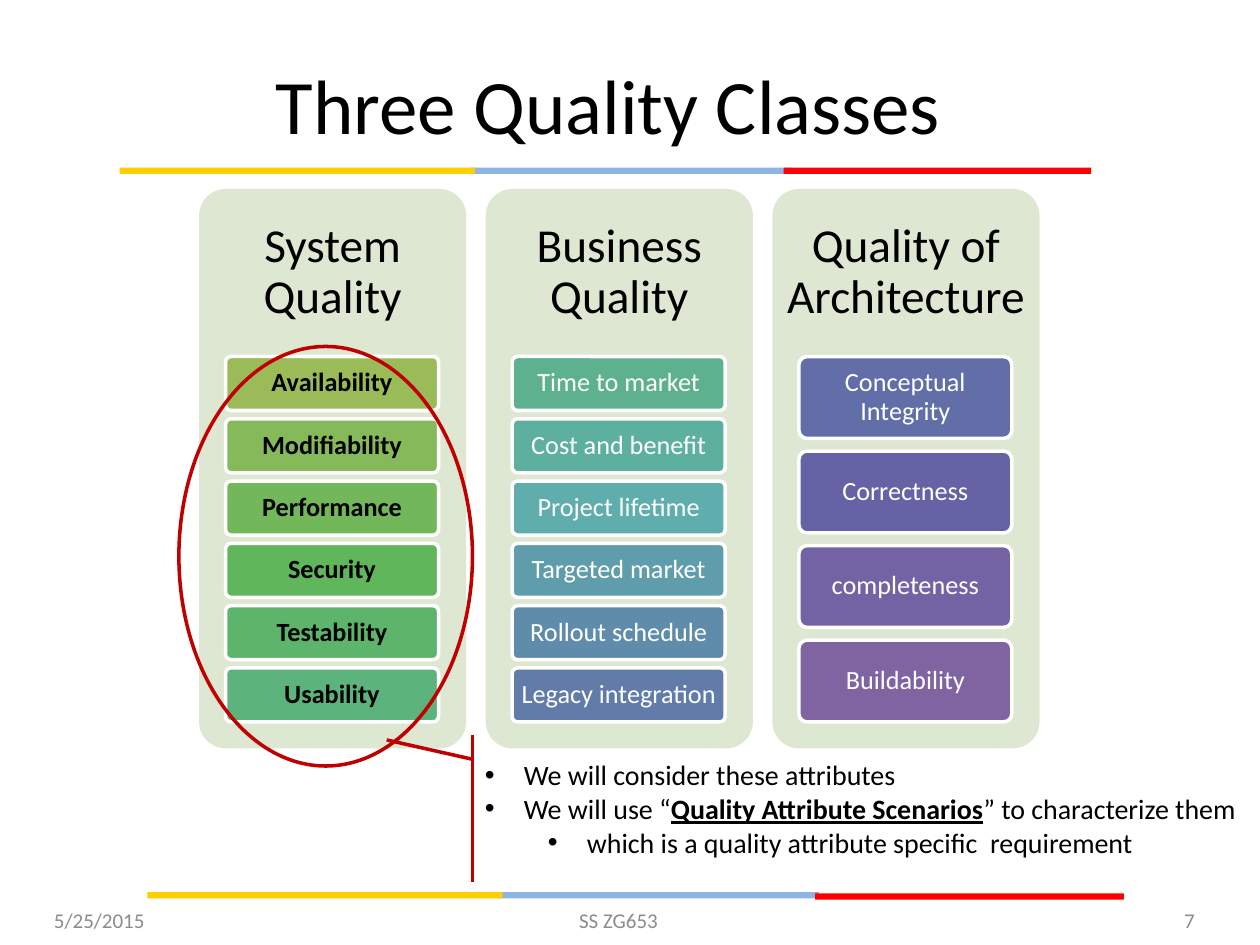
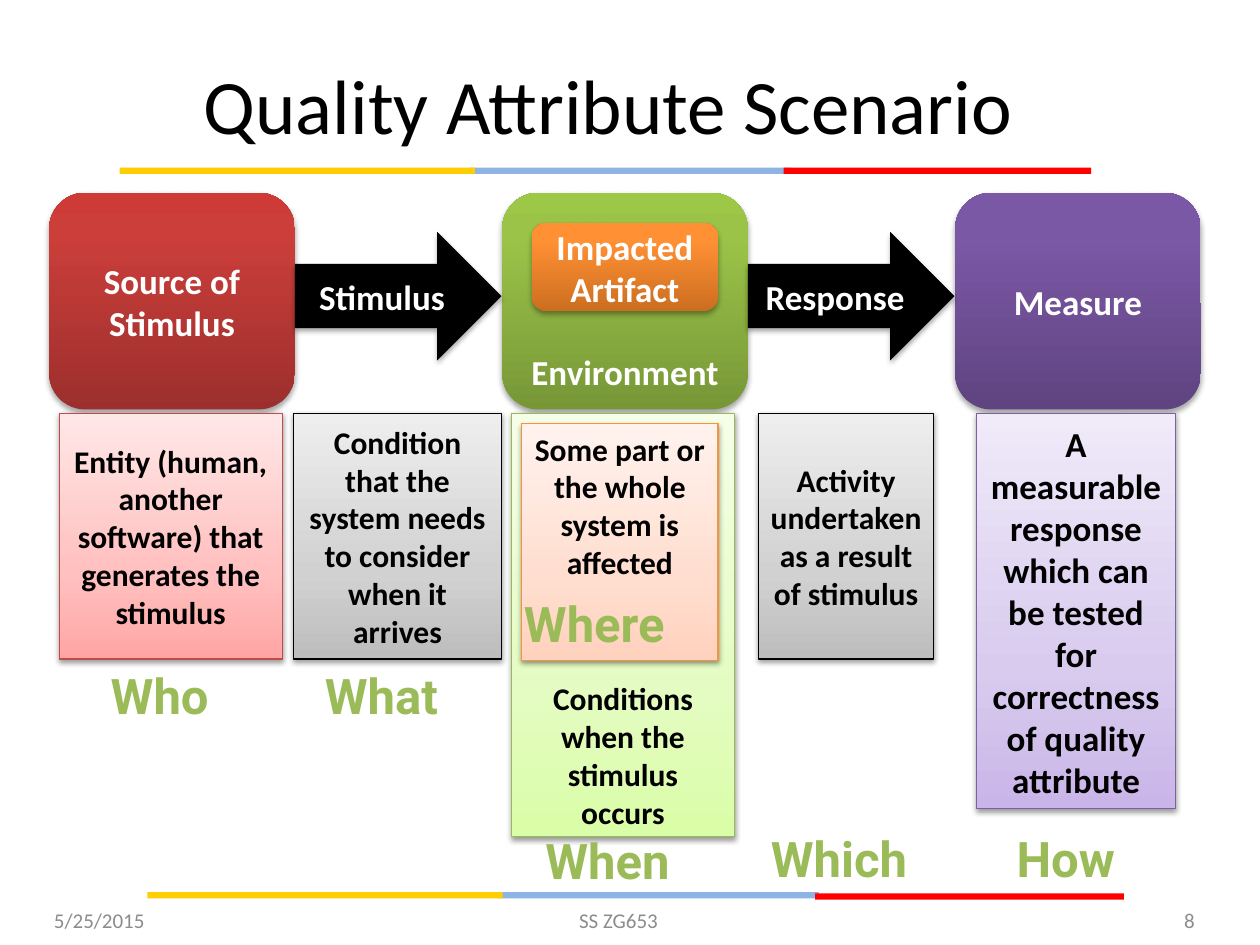
from copy import deepcopy

from lxml import etree
from pptx import Presentation
from pptx.dml.color import RGBColor
from pptx.enum import shapes, text
from pptx.oxml.ns import qn
from pptx.util import Inches, Pt

KIND = shapes.MSO_SHAPE
MIDDLE, TOP, BOTTOM = text.MSO_ANCHOR.MIDDLE, text.MSO_ANCHOR.TOP, text.MSO_ANCHOR.BOTTOM
LEFT, CENTER, RIGHT = text.PP_ALIGN.LEFT, text.PP_ALIGN.CENTER, text.PP_ALIGN.RIGHT
color = RGBColor.from_string

# Shared look
BODY_FONT, QUESTION_FONT = "Calibri", "Roboto"
BLACK, WHITE = color("000000"), color("FFFFFF")
YELLOW, BLUE, RED = color("FFCE00"), color("8EB4E3"), color("FF0000")
FOOTER_GRAY, PANEL_GREEN = color("8C8C8C"), color("DEE7D1")
MARK_RED, QUESTION_GREEN = color("C00000"), color("9BBB59")
INSETS = (0.1, 0.05, 0.1, 0.05)

BANDS = [  # left, top, width, colour
    (3.73, 1.33, 2.55, BLUE), (6.22, 1.33, 2.44, RED), (0.95, 1.33, 2.82, YELLOW),
    (3.95, 7.08, 2.55, BLUE), (6.47, 7.09, 2.45, RED), (1.17, 7.08, 2.82, YELLOW),
]
DATE, COURSE = "5/25/2015", "SS ZG653"

# Slide 7: heading, text colour, bold, cards with their fills
QUALITY_CLASSES = [
    ("System Quality", BLACK, True, [
        ("Availability", "9BBB59"), ("Modifiability", "86B95A"), ("Performance", "72B85A"),
        ("Security", "5FB65B"), ("Testability", "5CB56A"), ("Usability", "5CB37C")]),
    ("Business Quality", WHITE, False, [
        ("Time to market", "5DB18E"), ("Cost and benefit", "5EB09E"),
        ("Project lifetime", "5FAEAD"), ("Targeted market", "5F9DAC"),
        ("Rollout schedule", "608CAB"), ("Legacy integration", "617CA9")]),
    ("Quality of Architecture", WHITE, False, [
        ("Conceptual Integrity", "626EA7"), ("Correctness", "6562A5"),
        ("completeness", "7363A4"), ("Buildability", "8064A2")]),
]
REMARKS = [  # indent, runs of (text, emphasised)
    (0.31, [("We will consider these attributes", False)]),
    (0.31, [("We will use “", False), ("Quality Attribute Scenarios", True),
            ("” to characterize them", False)]),
    (0.81, [("which is a quality attribute specific  requirement", False)]),
]

# Slide 8: gradients run from the bottom edge up
STRONG_STOPS, PALE_STOPS = (0, 0.8, 1), (0, 0.35, 1)
STRONG_SHADOW, PALE_SHADOW = (35, 1.8), (38, 1.6)  # opacity, distance
GRAYS = ("BDBDBD", "D1D1D1", "EEEEEE")
STAGES = [
    ("Source of Stimulus", MIDDLE, ("9C2F2D", "CB3E3A", "CE3B37")),
    ("Environment", BOTTOM, ("779737", "9BC348", "9DC746")),
    ("Measure", MIDDLE, ("5F4480", "7B58A6", "7C57A8")),
]
ARROWS = ["Stimulus", "Response"]
ARTIFACT = ("Impacted\vArtifact", ("CC6E20", "FF9034", "FF9136"))
EXPLANATIONS = [  # text, place, anchor, size, gradient, line, insets
    ("Entity (human, another software) that generates the stimulus",
     (0.47, 3.28, 1.77, 1.95), MIDDLE, 18, ("FFA6A5", "FFC0BF", "FFE7E7"), "BF4C48", INSETS),
    ("Condition that the system needs to consider when it arrives",
     (2.33, 3.28, 1.65, 1.95), MIDDLE, 18, GRAYS, "000000", INSETS),
    ("Conditions when the stimulus occurs",
     (4.06, 3.28, 1.77, 3.36), BOTTOM, 18, ("DAFDA7", "E4FCC2", "F5FFE7"), "98B955", INSETS),
    ("Activity undertaken as a result of stimulus",
     (6.02, 3.28, 1.39, 1.95), MIDDLE, 18, GRAYS, "000000", (0.05,) * 4),
    ("A measurable response which can be tested for correctness of quality attribute",
     (7.75, 3.28, 1.58, 3.14), MIDDLE, 20, ("C9B5E8", "D8CBEE", "F0EAF9"), "7D60A0", INSETS),
    ("Some part or the whole system is affected",
     (4.14, 3.36, 1.56, 1.88), TOP, 18, ("FFD2BD", "FFDED0", "FFF2ED"), "F69240", INSETS),
]
QUESTIONS = [  # word, left, top, width
    ("Who", 0.78, 5.23, 1.21), ("Where", 4.06, 4.66, 1.71), ("When", 4.23, 6.54, 1.48),
    ("Which", 6.02, 6.53, 1.6), ("How", 7.97, 6.53, 1.19), ("What", 2.48, 5.23, 1.43),
]


def add_block(page, kind, place, fill=None, line=None, weight=2, corner=None):
    """Add a flat preset shape; no fill or line unless given."""
    block = page.shapes.add_shape(kind, *map(Inches, place))
    block.shadow.inherit = False
    if fill is None:
        block.fill.background()
    else:
        block.fill.solid()
        block.fill.fore_color.rgb = fill
    if line is None:
        block.line.fill.background()
    else:
        block.line.color.rgb = line
        block.line.width = Pt(weight)
    if corner is not None:
        block.adjustments[0] = corner
    return block


def set_frame(box, anchor, insets=INSETS):
    frame = box.text_frame
    frame.word_wrap = True
    frame.vertical_anchor = anchor
    (frame.margin_left, frame.margin_top,
     frame.margin_right, frame.margin_bottom) = map(Inches, insets)
    return frame


def set_font(para, size, ink, bold=False, name=BODY_FONT):
    para.font.name = name
    para.font.size = Pt(size)
    para.font.color.rgb = ink
    para.font.bold = bold


def write(box, words, size, ink, bold=False, align=CENTER, anchor=MIDDLE,
          insets=INSETS, spacing=None, name=BODY_FONT):
    frame = set_frame(box, anchor, insets)
    frame.text = words
    para = frame.paragraphs[0]
    para.alignment = align
    if spacing:
        para.line_spacing = spacing
    set_font(para, size, ink, bold, name)


def add_label(page, place, words, size, ink, **style):
    box = page.shapes.add_textbox(*map(Inches, place))
    write(box, words, size, ink, **style)
    return box


def shade(block, positions, colors):
    """Fill with a three-stop gradient from bottom to top."""
    block.fill.gradient()
    block.fill.gradient_angle = 90
    stop_list = block._element.spPr.find(".//" + qn("a:gsLst"))
    stop_list.insert(1, deepcopy(stop_list[0]))
    for stop, position, value in zip(block.fill.gradient_stops, positions, colors):
        stop.position = position
        stop.color.rgb = color(value)


def drop_shadow(block, opacity, distance):
    effects = block._element.spPr.find(qn("a:effectLst"))
    shadow = etree.SubElement(effects, qn("a:outerShdw"), blurRad=str(Pt(3.1)),
                              dist=str(Pt(distance)), dir="5400000", rotWithShape="0")
    ink = etree.SubElement(shadow, qn("a:srgbClr"), val="000000")
    etree.SubElement(ink, qn("a:alpha"), val=str(opacity * 1000))


def add_bullet(para, indent):
    properties = para._p.get_or_add_pPr()
    properties.set("marL", str(Inches(indent)))
    properties.set("indent", str(-Inches(0.31)))
    etree.SubElement(properties, qn("a:buFont"), typeface="Arial")
    etree.SubElement(properties, qn("a:buChar"), char="•")


def add_page(deck, title, number):
    """Start a slide with its bands, title and footers."""
    page = deck.slides.add_slide(deck.slide_layouts[6])
    for left, top, width, fill in BANDS:
        add_block(page, KIND.RECTANGLE, (left, top, width, 0.05), fill)
    add_label(page, (0.33, 0.31, 9, 1.03), title, 44, BLACK)
    add_label(page, (0.33, 7.1, 2.33, 0.4), DATE, 12, FOOTER_GRAY, align=LEFT)
    add_label(page, (3.42, 7.1, 3.17, 0.4), COURSE, 12, FOOTER_GRAY,
              insets=(0.1, 0.05, 0.29, 0.05))
    add_label(page, (7.25, 7.1, 2.33, 0.4), str(number), 12, FOOTER_GRAY, align=RIGHT)
    return page


def build_classes(deck):
    page = add_page(deck, "Three Quality Classes", 7)

    # Panels with cards; the gap is a fixed share of the card height
    cards_top, cards_height, gap_share = 2.83, 2.9, 0.154
    for column, (heading, ink, bold, cards) in enumerate(QUALITY_CLASSES):
        left = 1.58 + 2.275 * column
        add_block(page, KIND.ROUNDED_RECTANGLE, (left, 1.5, 2.12, 4.44), PANEL_GREEN, corner=0.1)
        add_label(page, (left, 1.5, 2.12, 1.33), heading, 27, BLACK,
                  insets=(0.11,) * 4, spacing=0.9)
        height = cards_height / (len(cards) + (len(cards) - 1) * gap_share)
        for row, (words, fill) in enumerate(cards):
            top = cards_top + row * height * (1 + gap_share)
            card = add_block(page, KIND.ROUNDED_RECTANGLE, (left + 0.21, top, 1.69, height),
                             color(fill), WHITE, corner=0.1)
            write(card, words, 15, ink, bold, insets=(0.04, 0.03, 0.04, 0.03), spacing=0.9)

    # Ring around the system qualities and its callout
    add_block(page, KIND.OVAL, (1.42, 2.75, 2.33, 3.33), line=MARK_RED)
    callout = add_block(page, KIND.LINE_CALLOUT_1_ACCENT_BAR, (3.75, 5.83, 6.25, 1.17),
                        line=MARK_RED)
    for index, value in enumerate((0.168, 0, 0.037, -0.109)):
        callout.adjustments[index] = value
    frame = set_frame(callout, MIDDLE, (0.1, 0, 0.1, 0))
    for index, (indent, spans) in enumerate(REMARKS):
        para = frame.add_paragraph() if index else frame.paragraphs[0]
        para.alignment = LEFT
        para.level = int(indent > 0.5)
        add_bullet(para, indent)
        set_font(para, 16, BLACK)
        for words, emphasised in spans:
            span = para.add_run()
            span.text = words
            if emphasised:
                span.font.bold = span.font.underline = True


def build_scenario(deck):
    page = add_page(deck, "Quality Attribute Scenario", 8)
    pitch = 3.595

    # Stages and the arrows between them
    for column, (words, anchor, colors) in enumerate(STAGES):
        stage = add_block(page, KIND.ROUNDED_RECTANGLE, (0.39 + pitch * column, 1.53, 1.95, 1.72))
        shade(stage, STRONG_STOPS, colors)
        drop_shadow(stage, *STRONG_SHADOW)
        write(stage, words, 20, WHITE, True, anchor=anchor)
    for column, words in enumerate(ARROWS):
        arrow = add_block(page, KIND.RIGHT_ARROW, (2.34 + pitch * column, 1.84, 1.64, 1.02), BLACK)
        drop_shadow(arrow, *STRONG_SHADOW)
        write(arrow, words, 20, WHITE, True)

    # Explanations below the stages
    for words, place, anchor, size, colors, line, insets in EXPLANATIONS:
        note = add_block(page, KIND.RECTANGLE, place, line=color(line), weight=0.75)
        shade(note, PALE_STOPS, colors)
        drop_shadow(note, *PALE_SHADOW)
        write(note, words, size, BLACK, True, anchor=anchor, insets=insets)

    # Artifact inside the environment
    words, colors = ARTIFACT
    artifact = add_block(page, KIND.ROUNDED_RECTANGLE, (4.22, 1.77, 1.48, 0.7))
    shade(artifact, STRONG_STOPS, colors)
    drop_shadow(artifact, *STRONG_SHADOW)
    write(artifact, words, 20, WHITE, True)

    # Question words
    for word, left, top, width in QUESTIONS:
        add_label(page, (left, top, width, 0.57), word, 28, QUESTION_GREEN, bold=True,
                  align=LEFT, anchor=TOP, name=QUESTION_FONT)


def main():
    deck = Presentation()
    deck.slide_width, deck.slide_height = Inches(10), Inches(7.5)
    build_classes(deck)
    build_scenario(deck)
    deck.save("out.pptx")


if __name__ == "__main__":
    main()
